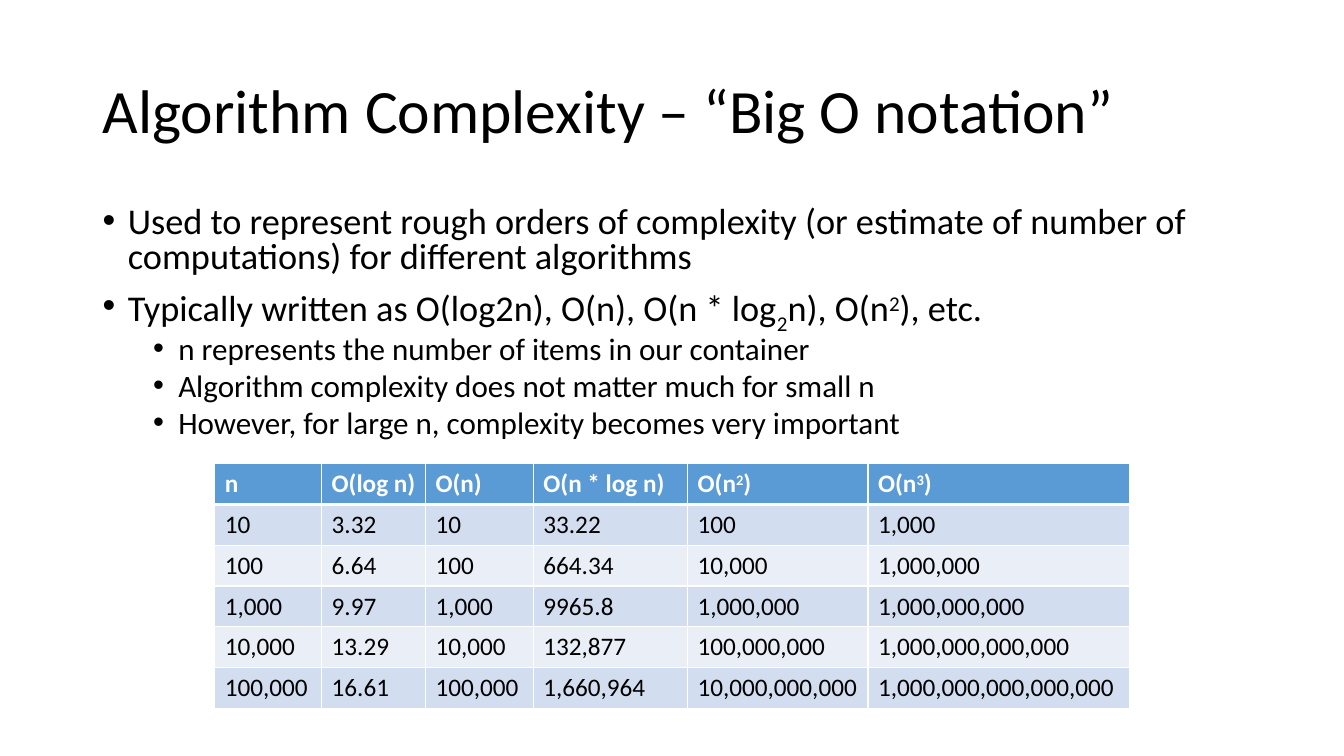
"""Build a slide on algorithm complexity with a table of growth rates."""
from dataclasses import dataclass

import pptx
import pptx.dml.color
import pptx.enum.text
import pptx.oxml
import pptx.oxml.ns
import pptx.util
from pptx.util import Inches


@dataclass(frozen=True)
class Theme:
    font: str = "Calibri"
    ink: str = "000000"
    white: str = "FFFFFF"
    head: str = "5B9BD5"
    bands: tuple = ("D2DEEF", "EAEFF7")
    title: float = 44
    levels: tuple = (25.9, 22.2)
    cell: float = 18


THEME = Theme()
SHIFTS = {"^": "30000", "_": "-25000"}
POINTS = [
    (0, "Used to represent rough orders of complexity (or estimate of number of "
        "computations) for different algorithms"),
    (0, "Typically written as O(log2n), O(n), O(n * log|_2|n), O(n|^2|), etc."),
    (1, "n represents the number of items in our container"),
    (1, "Algorithm complexity does not matter much for small n"),
    (1, "However, for large n, complexity becomes very important"),
]
WIDTHS = [1.06, 1.03, 1.07, 1.53, 1.79, 2.59]
ROWS = [
    ["n", "O(log n)", "O(n)", "O(n * log n)", "O(n|^2|)", "O(n|^3|)"],
    ["10", "3.32", "10", "33.22", "100", "1,000"],
    ["100", "6.64", "100", "664.34", "10,000", "1,000,000"],
    ["1,000", "9.97", "1,000", "9965.8", "1,000,000", "1,000,000,000"],
    ["10,000", "13.29", "10,000", "132,877", "100,000,000", "1,000,000,000,000"],
    ["100,000", "16.61", "100,000", "1,660,964", "10,000,000,000",
     "1,000,000,000,000,000"],
]


def rgb(code):
    return pptx.dml.color.RGBColor.from_string(code)


def node(xml):
    return pptx.oxml.parse_xml(xml.replace(" ", f" {pptx.oxml.ns.nsdecls('a')} ", 1))


def write(para, text, size, color=THEME.ink, bold=False, line=None, before=0):
    if line:
        para.line_spacing = line
    para.space_before = pptx.util.Pt(before)
    for part in text.split("|"):
        shift = SHIFTS.get(part[0])
        run = para.add_run()
        run.text = part[1:] if shift else part
        font = run.font
        font.name, font.size, font.bold = THEME.font, pptx.util.Pt(size), bold
        font.color.rgb = rgb(color)
        if shift:
            run._r.get_or_add_rPr().set("baseline", shift)


def add_box(slide, top, height, anchor):
    box = slide.shapes.add_textbox(Inches(0.92), Inches(top), Inches(11.5), Inches(height))
    frame = box.text_frame
    frame.word_wrap = True
    frame.vertical_anchor = anchor
    return frame


def add_list(frame, points):
    for i, (level, text) in enumerate(points):
        para = frame.add_paragraph() if i else frame.paragraphs[0]
        para.level = level
        write(para, text, THEME.levels[level], line=0.8, before=5 if level else 10)
        props = para._p.get_or_add_pPr()
        props.set("marL", str(Inches(0.25 + 0.5 * level)))
        props.set("indent", str(Inches(-0.25)))
        props.append(node('<a:buFont typeface="Arial"/>'))
        props.append(node('<a:buChar char="•"/>'))


def edge(cell, base):
    props = cell._tc.get_or_add_tcPr()
    for i, side in enumerate("LRTB"):
        width = pptx.util.Pt(base if side == "B" else 1)
        props.insert(i, node(f'<a:ln{side} w="{width}"><a:solidFill><a:srgbClr '
                             f'val="{THEME.white}"/></a:solidFill></a:ln{side}>'))


def add_grid(slide, rows, widths):
    frame = slide.shapes.add_table(len(rows), len(widths), Inches(2.13), Inches(4.6),
                                   Inches(sum(widths)), Inches(2.43))
    grid = frame.table
    for col, width in zip(grid.columns, widths):
        col.width = Inches(width)
    for r, row in enumerate(rows):
        top = r == 0
        for c, text in enumerate(row):
            cell = grid.cell(r, c)
            cell.fill.solid()
            cell.fill.fore_color.rgb = rgb(THEME.head if top else THEME.bands[(r - 1) % 2])
            edge(cell, 3 if top else 1)
            write(cell.text_frame.paragraphs[0], text, THEME.cell,
                  color=THEME.white if top else THEME.ink, bold=top)


def main():
    deck = pptx.Presentation()
    deck.slide_width, deck.slide_height = Inches(13.33), Inches(7.5)
    slide = deck.slides.add_slide(deck.slide_layouts[6])
    anchor = pptx.enum.text.MSO_ANCHOR
    title = add_box(slide, 0.4, 1.45, anchor.MIDDLE)
    write(title.paragraphs[0], "Algorithm Complexity – “Big O notation”",
          THEME.title, line=0.9)
    add_list(add_box(slide, 2, 2.47, anchor.TOP), POINTS)
    add_grid(slide, ROWS, WIDTHS)
    deck.save("out.pptx")


if __name__ == "__main__":
    main()
